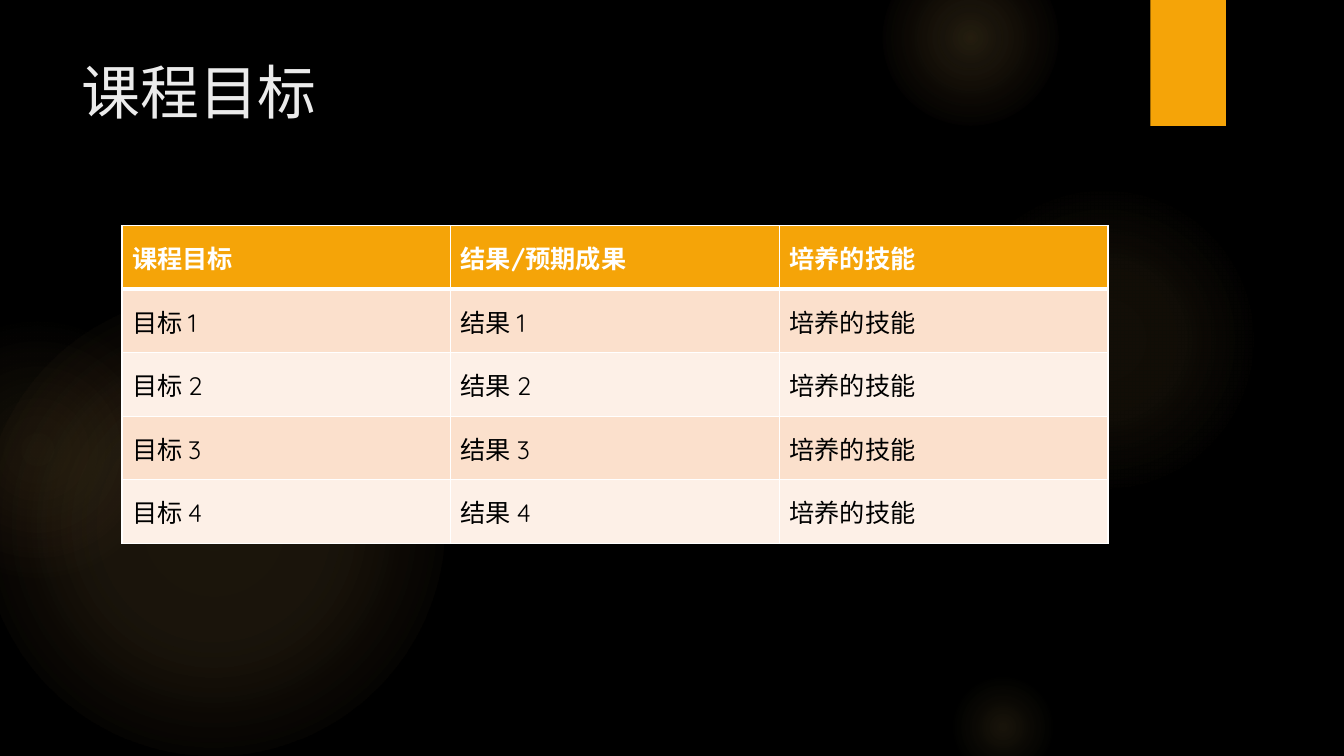
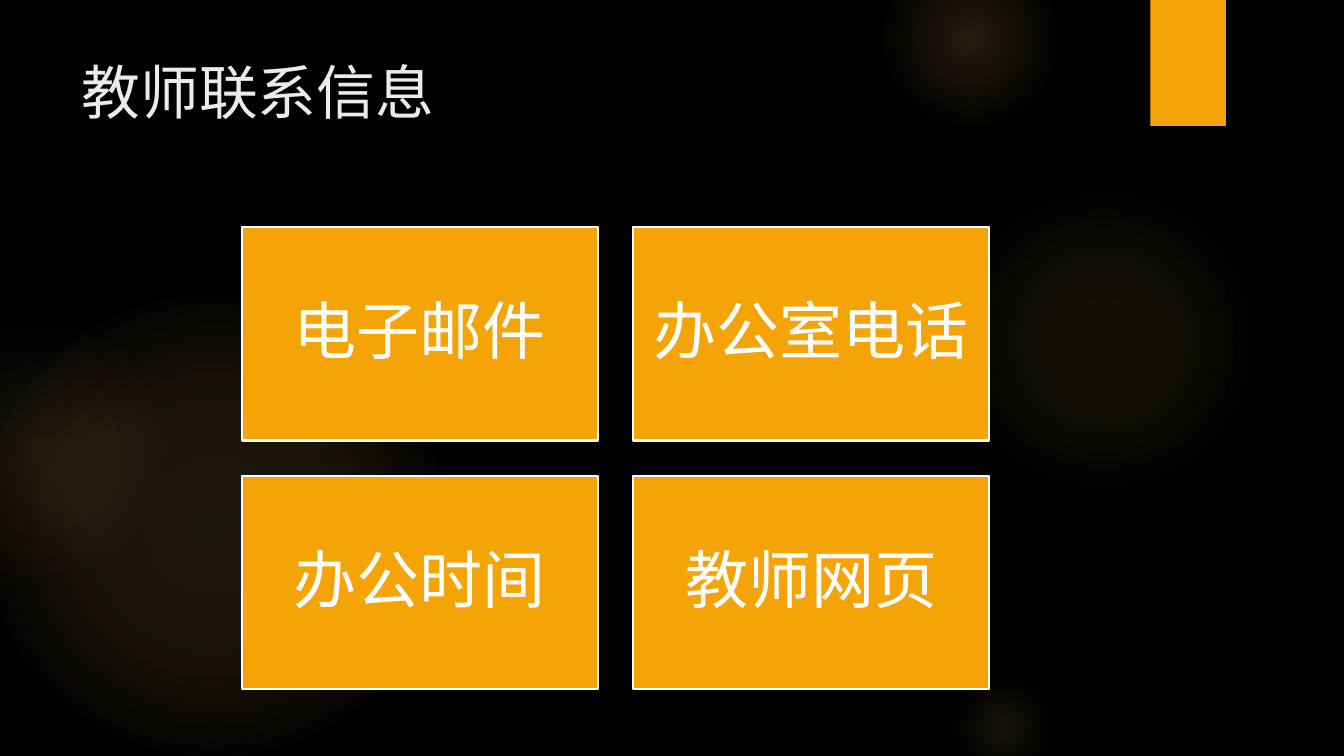
import dataclasses

import lxml.etree
import pptx
import pptx.dml.color
import pptx.enum.shapes
import pptx.enum.text
import pptx.oxml.ns
import pptx.shapes.autoshape
import pptx.slide
import pptx.table
import pptx.text.text
import pptx.util

Inches = pptx.util.Inches
Pt = pptx.util.Pt
qn = pptx.oxml.ns.qn
SHAPE = pptx.enum.shapes.MSO_SHAPE
ANCHOR = pptx.enum.text.MSO_ANCHOR
ALIGN = pptx.enum.text.PP_ALIGN

# Shared style
BLACK, WHITE, ORANGE, TITLE_GREY = "000000", "FFFFFF", "F5A408", "EBEBEB"
GLOW, WARM_GLOW = "FAC96A", "F59B74"
BANDS = ("FBE0CC", "FDF0E7")
LATIN_FONT, CHINESE_FONT = "Quicksand", "Noto Sans CJK SC"


@dataclasses.dataclass(frozen=True)
class Box:
    left: float
    top: float
    width: float
    height: float

    def lengths(self) -> tuple:
        return tuple(Inches(value) for value in dataclasses.astuple(self))


@dataclasses.dataclass(frozen=True)
class Light:
    """A round glow; each stop is position %, colour, opacity %."""
    left: float
    top: float
    size: float
    stops: tuple


LIGHTS = (
    Light(-0.17, 2.92, 4.58, ((0, GLOW, 11), (36, GLOW, 10), (75, GLOW, 0))),
    Light(-0.92, 3.17, 2.58, ((0, GLOW, 8), (36, GLOW, 5), (71, WARM_GLOW, 0))),
    Light(9.41, 1.83, 3.08, ((0, GLOW, 7), (36, GLOW, 6), (69, GLOW, 0))),
    Light(8.75, -0.5, 1.75, ((0, GLOW, 14), (36, GLOW, 7), (73, GLOW, 0))),
    Light(9.41, 6.67, 1.08, ((0, GLOW, 10), (31, GLOW, 5), (66, GLOW, 0))),
)
TITLE_BOX = Box(0.71, 0.5, 10.29, 1.53)
ACCENT_BOX = Box(11.41, 0, 0.75, 1.25)


def color(value: str) -> pptx.dml.color.RGBColor:
    return pptx.dml.color.RGBColor.from_string(value)


def child(parent, tag: str, **attributes):
    values = {name: str(value) for name, value in attributes.items()}
    return lxml.etree.SubElement(parent, qn(tag), values)


def write_text(frame: pptx.text.text.TextFrame, text: str, *, size: float,
               fill: str, font: str = LATIN_FONT, bold: bool = False,
               align=ALIGN.LEFT, line_spacing: float = 1.0,
               space_after: float = 0) -> None:
    frame.word_wrap = True
    paragraph = frame.paragraphs[0]
    paragraph.alignment = align
    paragraph.line_spacing = line_spacing
    paragraph.space_after = Pt(space_after)
    run = paragraph.add_run()
    run.text = text
    run.font.size = Pt(size)
    run.font.bold = bold
    run.font.color.rgb = color(fill)
    run.font.name = font
    child(run._r.get_or_add_rPr(), "a:ea", typeface=CHINESE_FONT)


def add_block(slide: pptx.slide.Slide, box: Box, *, kind=SHAPE.RECTANGLE,
              fill: str | None = None, line: str | None = None,
              line_width: float = 1.5) -> pptx.shapes.autoshape.Shape:
    shape = slide.shapes.add_shape(kind, *box.lengths())
    shape.shadow.inherit = False
    if fill:
        shape.fill.solid()
        shape.fill.fore_color.rgb = color(fill)
    else:
        shape.fill.background()
    if line:
        shape.line.color.rgb = color(line)
        shape.line.width = Pt(line_width)
    else:
        shape.line.fill.background()
    return shape


def add_light(slide: pptx.slide.Slide, light: Light) -> None:
    box = Box(light.left, light.top, light.size, light.size)
    properties = add_block(slide, box, kind=SHAPE.OVAL)._element.spPr
    gradient = lxml.etree.Element(qn("a:gradFill"), {"rotWithShape": "1"})
    stops = child(gradient, "a:gsLst")
    for position, value, opacity in light.stops:
        stop = child(stops, "a:gs", pos=position * 1000)
        child(child(stop, "a:srgbClr", val=value), "a:alpha", val=opacity * 1000)
    center = child(gradient, "a:path", path="circle")
    child(center, "a:fillToRect", l=50000, t=50000, r=50000, b=50000)
    properties.replace(properties.find(qn("a:noFill")), gradient)


def add_base_slide(presentation, title: str) -> pptx.slide.Slide:
    slide = presentation.slides.add_slide(presentation.slide_layouts[6])
    slide.background.fill.solid()
    slide.background.fill.fore_color.rgb = color(BLACK)
    for light in LIGHTS:
        add_light(slide, light)
    add_block(slide, ACCENT_BOX, fill=ORANGE)
    title_shape = slide.shapes.add_textbox(*TITLE_BOX.lengths())
    write_text(title_shape.text_frame, title, size=42, fill=TITLE_GREY)
    return slide


def style_cell(cell: pptx.table._Cell, text: str, *, fill: str,
               text_color: str, bold: bool, top: float, bottom: float) -> None:
    properties = cell._tc.get_or_add_tcPr()
    for side, width in (("L", 1), ("R", 1), ("T", top), ("B", bottom)):
        border = child(properties, f"a:ln{side}", w=Pt(width))
        child(child(border, "a:solidFill"), "a:srgbClr", val=WHITE)
    cell.fill.solid()
    cell.fill.fore_color.rgb = color(fill)
    cell.vertical_anchor = ANCHOR.MIDDLE
    write_text(cell.text_frame, text, size=18, fill=text_color, bold=bold)


def add_goal_table(slide: pptx.slide.Slide, box: Box, rows: list) -> None:
    frame = slide.shapes.add_table(len(rows), len(rows[0]), *box.lengths())
    table = frame.table
    table.horz_banding = False
    for row in table.rows:
        row.height = Inches(box.height / len(rows))
    for row_index, texts in enumerate(rows):
        header = row_index == 0
        for column_index, text in enumerate(texts):
            style_cell(table.cell(row_index, column_index), text,
                       fill=ORANGE if header else BANDS[(row_index - 1) % 2],
                       text_color=WHITE if header else BLACK, bold=header,
                       top=3 if row_index == 1 else 1,
                       bottom=3 if header else 1)


def add_contact_tile(slide: pptx.slide.Slide, box: Box, text: str) -> None:
    shape = add_block(slide, box, fill=ORANGE, line=WHITE)
    frame = shape.text_frame
    frame.margin_left = frame.margin_right = Inches(0.19)
    frame.margin_top = frame.margin_bottom = Inches(0.19)
    frame.vertical_anchor = ANCHOR.MIDDLE
    write_text(frame, text, size=45, fill=WHITE, font=CHINESE_FONT,
               align=ALIGN.CENTER, line_spacing=0.9, space_after=16)


presentation = pptx.Presentation()
presentation.slide_width = Inches(13.33)
presentation.slide_height = Inches(7.5)

# Course goals
goals_slide = add_base_slide(presentation, "课程目标")
goal_rows = [("课程目标", "结果/预期成果", "培养的技能")]
goal_rows += [(f"目标 {n}", f"结果 {n}", "培养的技能") for n in range(1, 5)]
add_goal_table(goals_slide, Box(1.21, 2.24, 9.78, 3.15), goal_rows)

# Teacher contact details, two tiles per row
contact_slide = add_base_slide(presentation, "教师联系信息")
TILE_WIDTH, TILE_HEIGHT, TILE_GAP = 3.53, 2.12, 0.35
for index, label in enumerate(("电子邮件", "办公室电话", "办公时间", "教师网页")):
    row, column = divmod(index, 2)
    tile = Box(2.4 + column * (TILE_WIDTH + TILE_GAP),
               2.25 + row * (TILE_HEIGHT + TILE_GAP), TILE_WIDTH, TILE_HEIGHT)
    add_contact_tile(contact_slide, tile, label)

presentation.save("out.pptx")
